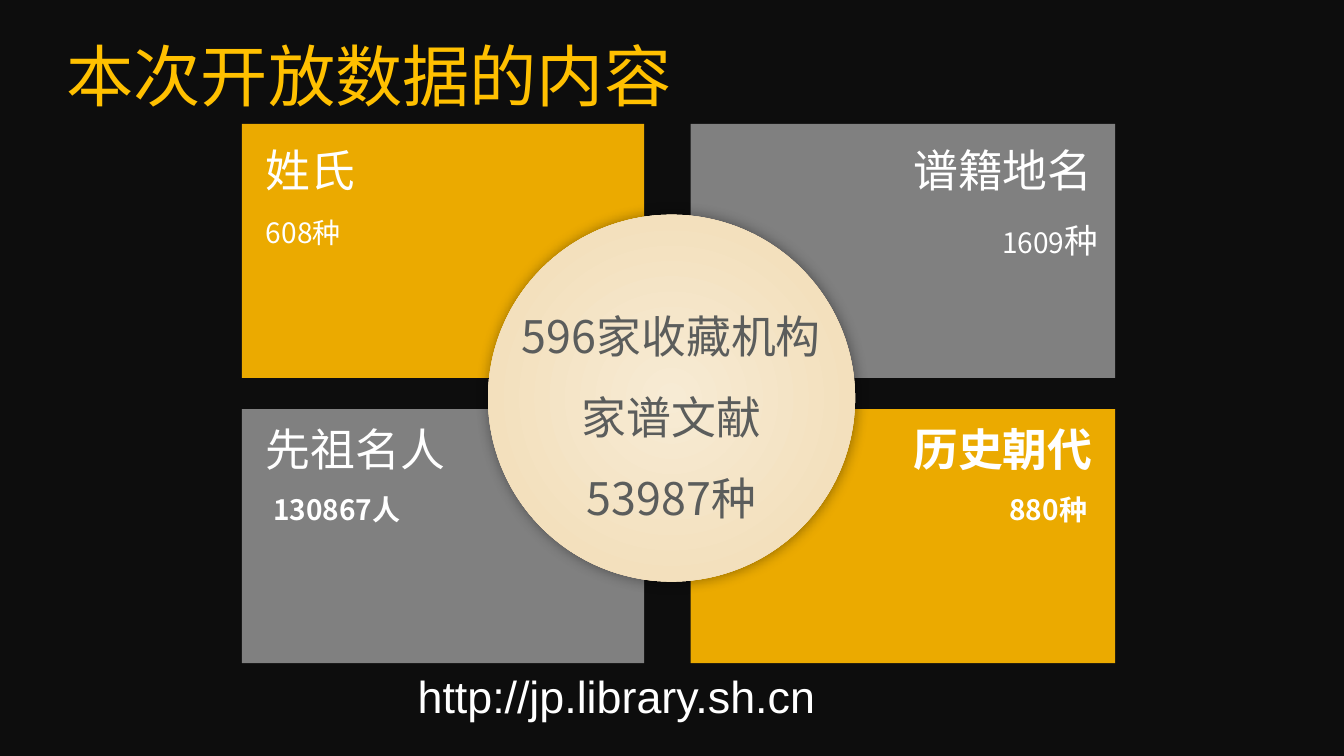
from dataclasses import dataclass

from lxml import etree
from pptx import Presentation
from pptx import util as u
from pptx.dml.color import RGBColor
from pptx.enum import shapes, text
from pptx.oxml.ns import qn

LEFT, CENTER, RIGHT = text.PP_ALIGN.LEFT, text.PP_ALIGN.CENTER, text.PP_ALIGN.RIGHT


@dataclass(frozen=True)
class Theme:
    """Colours, fonts and type sizes of the slide."""
    back: str = "0D0D0D"
    gold: str = "FFC000"
    amber: str = "EBAA00"
    grey: str = "808080"
    cream: str = "F7EBD4"
    sand: str = "F1DBB3"
    ink: str = "5B5D5C"
    white: str = "FFFFFF"
    shadow: str = "000000"
    latin: str = "Arial"
    cjk: str = "Noto Sans CJK SC"
    title: int = 48
    heading: int = 32
    unit: int = 24
    count: int = 20


T = Theme()


@dataclass(frozen=True)
class Box:
    """A rectangle in percent of the slide's width and height."""
    x: float
    y: float
    w: float
    h: float


@dataclass(frozen=True)
class Run:
    """A piece of text in one format."""
    text: str
    size: int = T.heading
    color: str = T.white
    font: str = T.cjk
    bold: bool = False


@dataclass(frozen=True)
class Label:
    """A text block made of lines of runs."""
    box: Box
    lines: tuple[tuple[Run, ...], ...]
    align: text.PP_ALIGN = LEFT
    spacing: float = 1.0


@dataclass(frozen=True)
class Panel:
    """A coloured rectangle with a heading and a count."""
    box: Box
    fill: str
    heading: Label
    count: Label


COL1, COL2, ROW1, ROW2 = 18, 51.39, 16.4, 54.13
W1, W2, PANEL_H = 29.93, 31.58, 33.6
TEXT1, TEXT2, HEAD1, HEAD2, COUNT2 = 19.05, 67.22, 18.27, 55.07, 64.53
HEAD_H, COUNT_H = 8.53, 5.87

PANELS = (
    Panel(Box(COL1, ROW1, W1, PANEL_H), T.amber,
          Label(Box(TEXT1, HEAD1, 24.31, HEAD_H), ((Run("姓氏"),),)),
          Label(Box(TEXT1, 27.87, 24.23, COUNT_H), ((Run("608种", T.count),),))),
    Panel(Box(COL2, ROW1, W2, PANEL_H), T.grey,
          Label(Box(TEXT2, HEAD1, 15, HEAD_H), ((Run("谱籍地名"),),)),
          Label(Box(63.17, 28.4, 19.28, 6.67),
                ((Run("1609", T.count), Run("种", T.unit, font=T.latin)),), RIGHT)),
    Panel(Box(COL2, ROW2, W2, PANEL_H), T.amber,
          Label(Box(TEXT2, HEAD2, 15.75, HEAD_H), ((Run("历史朝代", bold=True),),)),
          Label(Box(64.37, COUNT2, 17.25, COUNT_H),
                ((Run("880种", T.count, bold=True),),), RIGHT)),
    Panel(Box(COL1, ROW2, W1, PANEL_H), T.grey,
          Label(Box(TEXT1, HEAD2, 28.88, HEAD_H), ((Run("先祖名人"),),)),
          Label(Box(19.58, COUNT2, 20.7, COUNT_H),
                ((Run("130867人", T.count, bold=True),),))),
)
TITLE = Label(Box(4.2, 3.87, 53.49, 12.13),
              ((Run("本次开放数据的内容", T.title, T.gold, T.latin),),))
ADDRESS = Label(Box(24.61, 87.73, 42.54, HEAD_H),
                ((Run("http://jp.library.sh.cn", font=T.latin),),), CENTER)
CIRCLE = Box(36.31, 28.4, 27.31, 48.53)
SUMMARY = Label(Box(36.53, 36.67, 26.86, PANEL_H),
                tuple((Run(line, color=T.ink),)
                      for line in ("596家收藏机构", "家谱文献", "53987种")),
                CENTER, 1.5)


def apply(obj, values: dict) -> None:
    """Set each named attribute on an object."""
    for name, value in values.items():
        setattr(obj, name, value)


def place(prs, box: Box) -> dict:
    """Turn a percent box into slide lengths."""
    return {"left": u.Emu(int(prs.slide_width * box.x / 100)),
            "top": u.Emu(int(prs.slide_height * box.y / 100)),
            "width": u.Emu(int(prs.slide_width * box.w / 100)),
            "height": u.Emu(int(prs.slide_height * box.h / 100))}


def write(prs, sp, label: Label) -> None:
    """Place a text shape and fill it with the label's lines."""
    apply(sp, place(prs, label.box))
    tf = sp.text_frame
    apply(tf, {"word_wrap": True, "auto_size": text.MSO_AUTO_SIZE.NONE,
               "vertical_anchor": text.MSO_ANCHOR.TOP})
    for i, line in enumerate(label.lines):
        p = tf.add_paragraph() if i else tf.paragraphs[0]
        apply(p, {"alignment": label.align, "line_spacing": label.spacing})
        for run in line:
            r = p.add_run()
            r.text = run.text
            apply(r.font, {"size": u.Pt(run.size), "name": run.font, "bold": run.bold})
            r.font.color.rgb = RGBColor.from_string(run.color)
            ea = etree.Element(qn("a:ea"), typeface=T.cjk)
            r.font._element.find(qn("a:latin")).addnext(ea)


def add_label(prs, s, label: Label) -> None:
    """Add a text box for a label."""
    write(prs, s.shapes.add_textbox(0, 0, 0, 0), label)


def add_shape(prs, s, kind: shapes.MSO_SHAPE, box: Box):
    """Add a preset shape with neither line nor shadow."""
    sp = s.shapes.add_shape(kind, **place(prs, box))
    sp.shadow.inherit = False
    sp.line.fill.background()
    return sp


def add_circle(prs, s) -> None:
    """Add the central disc with a radial gradient and a soft shadow."""
    sp = add_shape(prs, s, shapes.MSO_SHAPE.OVAL, CIRCLE)
    sp.fill.gradient()
    for stop, position, color in zip(sp.fill.gradient_stops, (0, 1), (T.cream, T.sand)):
        stop.position = position
        stop.color.rgb = RGBColor.from_string(color)
    props = sp._element.spPr
    lin = props.find(qn("a:gradFill")).find(qn("a:lin"))
    radial = etree.Element(qn("a:path"), {"path": "circle"})
    etree.SubElement(radial, qn("a:fillToRect"), dict.fromkeys("ltrb", "50000"))
    lin.getparent().replace(lin, radial)
    glow = etree.SubElement(props.find(qn("a:effectLst")), qn("a:outerShdw"),
                            blurRad=str(u.Pt(10)), dist="0", algn="ctr", rotWithShape="0")
    color = etree.SubElement(glow, qn("a:srgbClr"), val=T.shadow)
    etree.SubElement(color, qn("a:alpha"), val="40000")


def main() -> None:
    """Build and save the slide."""
    prs = Presentation()
    apply(prs, {"slide_width": u.Inches(13.33), "slide_height": u.Inches(7.5)})
    s = prs.slides.add_slide(prs.slide_layouts[5])
    s.background.fill.solid()
    s.background.fill.fore_color.rgb = RGBColor.from_string(T.back)
    write(prs, s.shapes.title, TITLE)
    add_label(prs, s, ADDRESS)
    for panel in PANELS:
        sp = add_shape(prs, s, shapes.MSO_SHAPE.RECTANGLE, panel.box)
        sp.fill.solid()
        sp.fill.fore_color.rgb = RGBColor.from_string(panel.fill)
    add_circle(prs, s)
    add_label(prs, s, SUMMARY)
    for panel in PANELS:
        add_label(prs, s, panel.heading)
        add_label(prs, s, panel.count)
    prs.save("out.pptx")


if __name__ == "__main__":
    main()
